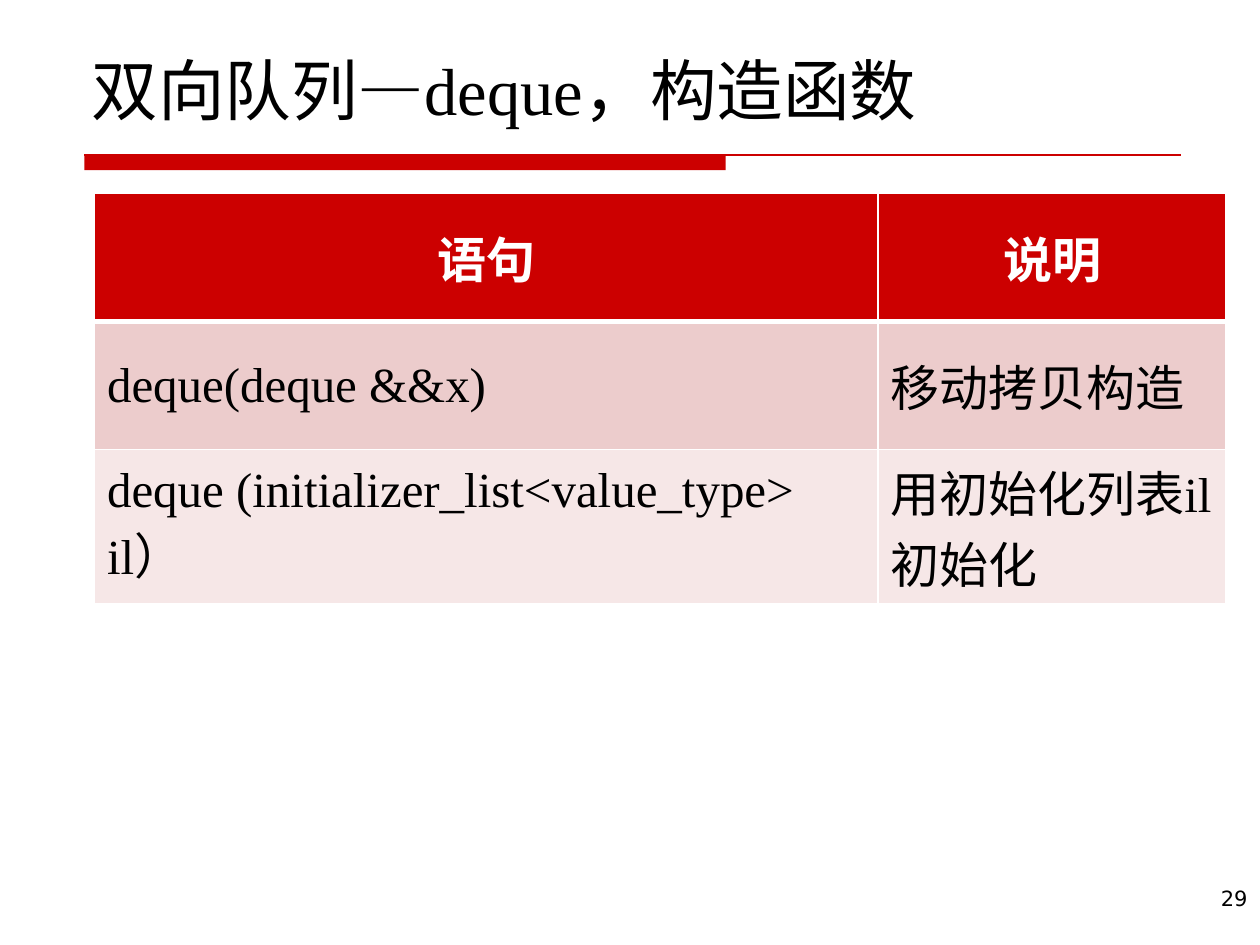
from dataclasses import dataclass

from lxml import etree
from pptx import Presentation
from pptx import util as u
from pptx.dml.color import RGBColor
from pptx.enum import shapes, text
from pptx.oxml.ns import qn

HUES = {
    "red": "CC0000",
    "rose": "ECCCCC",
    "pale": "F6E7E7",
    "white": "FFFFFF",
    "black": "000000",
}
SERIF = "Times New Roman"
SANS = "DejaVu Sans"
ALIGN = text.PP_ALIGN
ANCHOR = text.MSO_ANCHOR


@dataclass
class Row:
    cells: tuple[str, str]
    fill: str
    high: float = 1.02
    head: bool = False
    top: float = 1
    base: float = 1


ROWS = [
    Row(("语句", "说明"), "red", head=True, base=3),
    Row(("deque(deque &&x)", "移动拷贝构造"), "rose", top=3),
    Row(("deque (initializer_list<value_type> il）", "用初始化列表il初始化"),
        "pale", high=1.22),
]
COLS = (6.22, 2.76)


def hue(name: str) -> RGBColor:
    return RGBColor.from_string(HUES[name])


def write(frame, words: str, *, size: float, font: str = SERIF,
          color: str = "black", bold: bool = False, align=ALIGN.LEFT) -> None:
    frame.word_wrap = True
    para = frame.paragraphs[0]
    para.alignment = align
    run = para.add_run()
    run.text = words
    run.font.size = u.Pt(size)
    run.font.name = font
    run.font.bold = bold
    run.font.color.rgb = hue(color)


def box(slide, left: float, top: float, width: float, height: float):
    shape = slide.shapes.add_textbox(*map(u.Inches, (left, top, width, height)))
    return shape.text_frame


def edge(cell, side: str, width: float) -> None:
    props = cell._tc.get_or_add_tcPr()
    line = etree.SubElement(props, qn(f"a:ln{side}"), w=str(u.Pt(width)))
    fill = etree.SubElement(line, qn("a:solidFill"))
    etree.SubElement(fill, qn("a:srgbClr"), val=HUES["white"])


def rule(slide, left: float, top: float, width: float) -> None:
    band = slide.shapes.add_shape(
        shapes.MSO_SHAPE.RECTANGLE,
        *map(u.Inches, (left, top, 5.09, 0.12)))
    band.shadow.inherit = False
    band.fill.solid()
    band.fill.fore_color.rgb = hue("red")
    band.line.fill.background()
    line = slide.shapes.add_connector(
        shapes.MSO_CONNECTOR.STRAIGHT,
        *map(u.Inches, (left, top, left + width, top)))
    line.line.color.rgb = hue("red")
    line.line.width = u.Pt(0.75)
    etree.SubElement(line._element.spPr, qn("a:effectLst"))


def grid(slide, left: float, top: float) -> None:
    size = (left, top, sum(COLS), sum(row.high for row in ROWS))
    table = slide.shapes.add_table(
        len(ROWS), len(COLS), *map(u.Inches, size)).table
    for col, width in zip(table.columns, COLS):
        col.width = u.Inches(width)
    for line, row in zip(table.rows, ROWS):
        line.height = u.Inches(row.high)
        for cell, words in zip(line.cells, row.cells):
            for side, width in zip("LRTB", (1, 1, row.top, row.base)):
                edge(cell, side, width)
            cell.fill.solid()
            cell.fill.fore_color.rgb = hue(row.fill)
            cell.vertical_anchor = ANCHOR.MIDDLE
            write(cell.text_frame, words, size=28, bold=row.head,
                  color="white" if row.head else "black",
                  align=ALIGN.CENTER if row.head else ALIGN.LEFT)


def main() -> None:
    deck = Presentation()
    deck.slide_width = u.Inches(10)
    deck.slide_height = u.Inches(7.5)
    slide = deck.slides.add_slide(deck.slide_layouts[6])
    rule(slide, 0.67, 1.23, 8.7)
    write(box(slide, 7.86, 6.98, 2.14, 0.52), "29",
          size=12, font=SANS, align=ALIGN.RIGHT)
    title = box(slide, 0.63, 0.33, 8.75, 0.74)
    title.vertical_anchor = ANCHOR.BOTTOM
    write(title, "双向队列—deque，构造函数", size=38)
    grid(slide, 0.75, 1.53)
    deck.save("out.pptx")


if __name__ == "__main__":
    main()
